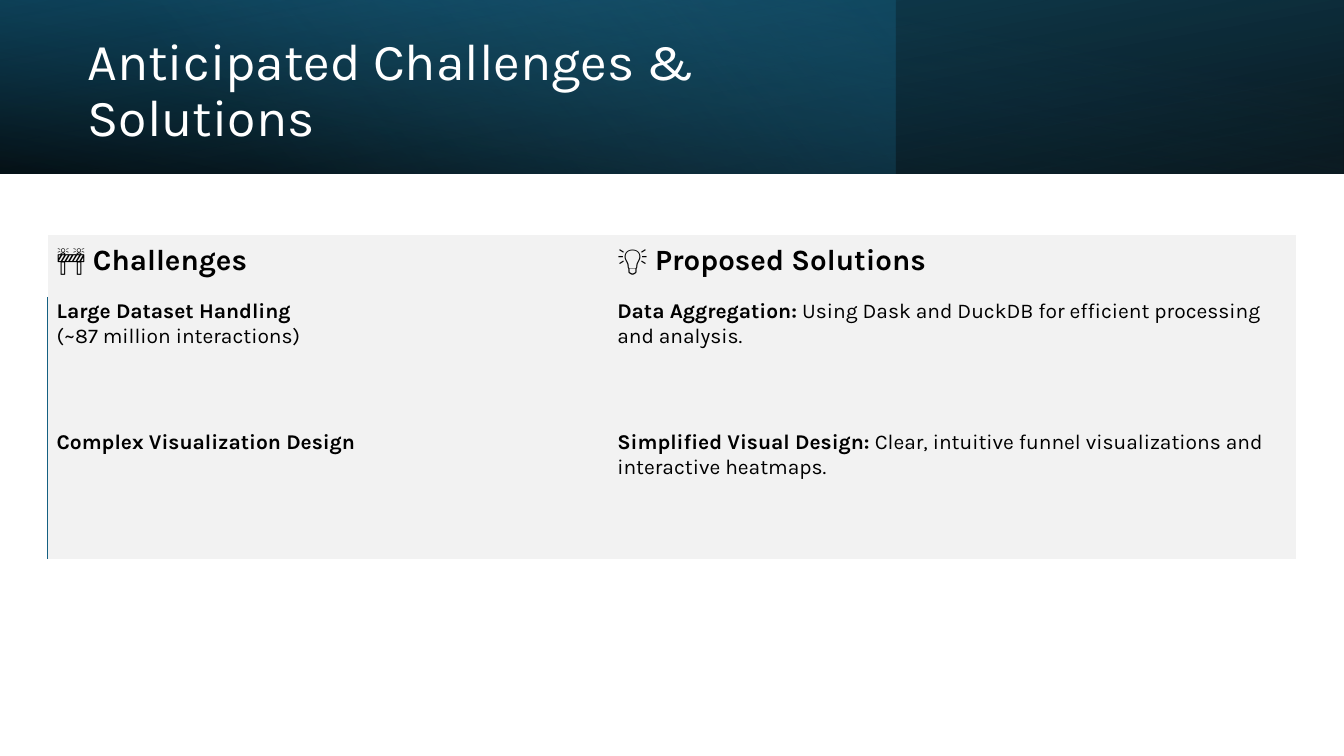
from pptx import Presentation
from pptx import util as u
from pptx.dml.color import RGBColor
from pptx.enum import shapes, text
from pptx.oxml import ns
from lxml import etree

COLORS = {"black": "000000", "white": "FFFFFF", "panel": "F2F2F2",
          "navy": "104862", "teal": "156082", "sky": "46B1E1"}
FONT = "Karla"
NO_STYLE = "{2D5ABB26-0587-4C30-8999-92F81FD0307C}"
PAGE_WIDTH, PAGE_HEIGHT, BANNER_HEIGHT = 960, 540, 124

# width, rotation, mirrored, clockwise angle, stops (position, color, opacity %)
BANNER_LAYERS = [
    (PAGE_WIDTH, 180, True, 100, [(0, "black", 96), (1, "navy", 100)]),
    (640, 0, False, 140, [(0, "teal", 41), (0.74, "sky", 0)]),
    (PAGE_WIDTH, 0, True, 260, [(0, "black", 63), (0.78, "teal", 15)]),
]
TITLE = "Anticipated Challenges & Solutions"
# each cell is a bold lead and a plain remainder
ROWS = [
    [("🚧 Challenges", ""), ("💡 Proposed Solutions", "")],
    [("Large Dataset Handling", "\n(~87 million interactions)"),
     ("Data Aggregation:",
      " Using Dask and DuckDB for efficient processing and analysis.")],
    [("Complex Visualization Design", ""),
     ("Simplified Visual Design:",
      " Clear, intuitive funnel visualizations and interactive heatmaps.")],
]
TABLE_LEFT, TABLE_TOP = 34, 168
COLUMN_WIDTHS = [400.5, 491.5]
ROW_HEIGHTS = [44, 93.5, 93.5]


def rgb(name):
    return RGBColor.from_string(COLORS[name])


def style(span, size, color, bold=False):
    span.font.name = FONT
    span.font.size = u.Pt(size)
    span.font.bold = bold
    span.font.color.rgb = rgb(color)


def add_banner_layer(page, width, rotation, mirrored, angle, stops):
    layer = page.shapes.add_shape(shapes.MSO_SHAPE.RECTANGLE, 0, 0,
                                  u.Pt(width), u.Pt(BANNER_HEIGHT))
    layer.shadow.inherit = False
    layer.line.fill.background()
    layer.rotation = rotation
    properties = layer._element.spPr
    if mirrored:
        properties.find(ns.qn("a:xfrm")).set("flipH", "1")
    layer.fill.gradient()
    layer.fill.gradient_angle = 360 - angle  # python-pptx counts anticlockwise
    for stop, (position, color, _) in zip(layer.fill.gradient_stops, stops):
        stop.position = position
        stop.color.rgb = rgb(color)
    for node, (_, _, opacity) in zip(properties.iter(ns.qn("a:srgbClr")), stops):
        etree.SubElement(node, ns.qn("a:alpha"), val=str(opacity * 1000))


def add_title(page):
    box = page.shapes.add_textbox(u.Pt(55.5), u.Pt(19.5), u.Pt(556), u.Pt(91.5))
    frame = box.text_frame
    frame.word_wrap = True
    frame.vertical_anchor = text.MSO_ANCHOR.MIDDLE
    frame.text = TITLE
    para = frame.paragraphs[0]
    para.line_spacing = 0.9
    style(para.runs[0], 37, "white")


def add_left_border(cell):
    line = etree.Element(ns.qn("a:lnL"), w=str(u.Pt(1)))
    fill = etree.SubElement(line, ns.qn("a:solidFill"))
    etree.SubElement(fill, ns.qn("a:srgbClr"), val=COLORS["teal"])
    cell._tc.get_or_add_tcPr().insert(0, line)


def fill_cell(cell, lead, rest, is_header):
    cell.margin_left, cell.margin_top = u.Pt(6.5), u.Pt(2)
    cell.margin_right, cell.margin_bottom = u.Pt(9.5), u.Pt(13.5)
    anchors = text.MSO_ANCHOR
    cell.vertical_anchor = anchors.BOTTOM if is_header else anchors.TOP
    cell.fill.solid()
    cell.fill.fore_color.rgb = rgb("panel")
    para = cell.text_frame.paragraphs[0]
    para.text = lead
    style(para.runs[0], 21 if is_header else 15, "black", bold=True)
    if rest.startswith("\n"):
        para.add_line_break()
    if rest:
        span = para.add_run()
        span.text = rest.lstrip("\n")
        style(span, 15, "black")


def add_table(page):
    frame = page.shapes.add_table(
        len(ROWS), len(COLUMN_WIDTHS), u.Pt(TABLE_LEFT), u.Pt(TABLE_TOP),
        u.Pt(sum(COLUMN_WIDTHS)), u.Pt(sum(ROW_HEIGHTS)))
    table = frame.table
    table.horz_banding = False
    table._tbl.tblPr.find(ns.qn("a:tableStyleId")).text = NO_STYLE
    for column, width in zip(table.columns, COLUMN_WIDTHS):
        column.width = u.Pt(width)
    for row, height in zip(table.rows, ROW_HEIGHTS):
        row.height = u.Pt(height)
    for r, row in enumerate(ROWS):
        for c, (lead, rest) in enumerate(row):
            cell = table.cell(r, c)
            fill_cell(cell, lead, rest, is_header=r == 0)
            if r > 0 and c == 0:
                add_left_border(cell)


def main():
    deck = Presentation()
    deck.slide_width, deck.slide_height = u.Pt(PAGE_WIDTH), u.Pt(PAGE_HEIGHT)
    page = deck.slides.add_slide(deck.slide_layouts[6])
    for layer in BANNER_LAYERS:
        add_banner_layer(page, *layer)
    add_title(page)
    add_table(page)
    deck.save("out.pptx")


if __name__ == "__main__":
    main()
